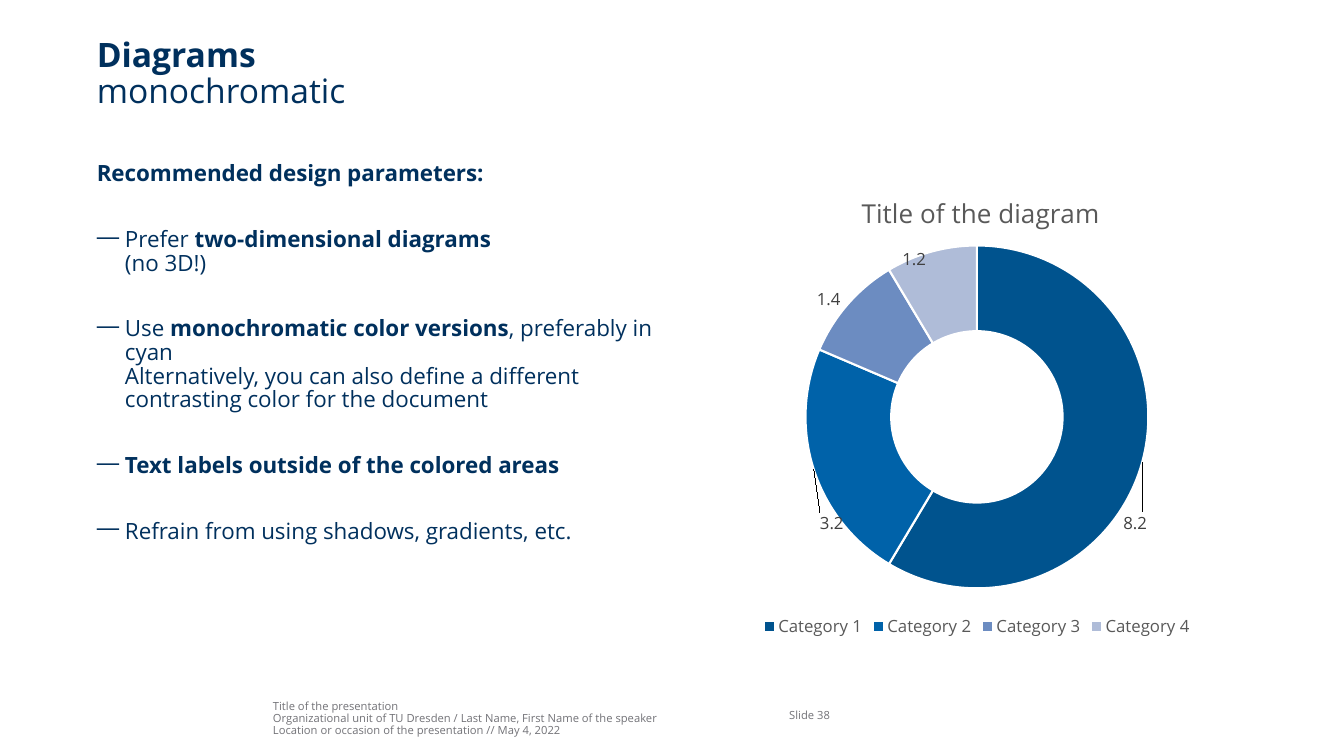
"""Build the slide on monochromatic diagrams."""
from dataclasses import dataclass

import lxml.etree
import pptx
import pptx.chart.data
import pptx.dml.color
import pptx.enum.chart
import pptx.enum.text
import pptx.oxml
import pptx.oxml.ns
import pptx.util

Cm, Pt = pptx.util.Cm, pptx.util.Pt
Anchor = pptx.enum.text.MSO_ANCHOR
qn = pptx.oxml.ns.qn
FONT = "Open Sans"
HUES = {"navy": "00305D", "grey": "727277", "text": "595959",
        "label": "404040", "white": "FFFFFF"}


@dataclass
class Line:
    spans: list[tuple[str, bool]]
    dash: bool = False


@dataclass
class Block:
    left: float
    top: float
    width: float
    height: float
    size: float
    hue: str
    lines: list[Line]
    pitch: float = 0.88
    anchor: Anchor = Anchor.TOP


@dataclass
class Slice:
    name: str
    value: float
    hue: str
    shift: tuple[float, float]


BLOCKS = [
    Block(6.88, 17.55, 12.45, 1.02, 8, "grey", [
        Line([("Title of the presentation", False)]),
        Line([("Organizational unit of TU Dresden / Last Name, First Name of the speaker", False)]),
        Line([("Location or occasion of the presentation // May 4, 2022", False)]),
    ], anchor=Anchor.BOTTOM),
    Block(19.89, 17.53, 1.96, 1.02, 8, "grey", [Line([("Slide 38", False)])],
          anchor=Anchor.MIDDLE),
    Block(2.44, 0.97, 29.39, 1.9, 24, "navy",
          [Line([("Diagrams\n", True), ("monochromatic", False)])], pitch=0.9),
    Block(2.44, 4.11, 14.43, 12.07, 16, "navy", [
        Line([("Recommended design parameters:", True)]),
        Line([("Prefer ", False), ("two-dimensional diagrams\n", True),
              ("(no 3D!)", False)], True),
        Line([("Use ", False), ("monochromatic color versions", True),
              (", preferably in cyan\nAlternatively, you can also define a different "
               "contrasting color for the document", False)], True),
        Line([("Text labels outside of the colored areas", True)], True),
        Line([("Refrain from using shadows, gradients, etc.", False)], True),
    ]),
]

SLICES = [
    Slice("Category 1", 8.2, "00538E", (0.06, 0.15)),
    Slice("Category 2", 3.2, "0062A9", (-0.04, 0.14)),
    Slice("Category 3", 1.4, "6C8CC1", (-0.09, -0.07)),
    Slice("Category 4", 1.2, "AFBCD8", (-0.05, -0.07)),
]


def tint(hue: str) -> pptx.dml.color.RGBColor:
    return pptx.dml.color.RGBColor.from_string(HUES.get(hue, hue))


def style(font, size: float, hue: str) -> None:
    font.name, font.size, font.bold = FONT, Pt(size), False
    font.color.rgb = tint(hue)


def add_line(para, line: Line, block: Block) -> None:
    if line.dash:
        props = para._p.get_or_add_pPr()
        props.set("marL", str(Cm(0.71)))
        props.set("indent", str(-Cm(0.71)))
        lxml.etree.SubElement(props, qn("a:buChar")).set("char", "—")
        para.space_before = Pt(30)
    para.line_spacing = block.pitch
    style(para.font, block.size, block.hue)
    mixed = len({bold for _, bold in line.spans}) > 1
    if not mixed:
        para.font.bold = line.spans[0][1]
    for text, bold in line.spans:
        for index, piece in enumerate(text.split("\n")):
            if index:
                para.add_line_break()
            if piece:
                run = para.add_run()
                run.text = piece
                if mixed:
                    run.font.bold = bold


def add_block(slide, block: Block) -> None:
    box = slide.shapes.add_textbox(Cm(block.left), Cm(block.top),
                                   Cm(block.width), Cm(block.height))
    frame = box.text_frame
    frame.word_wrap = True
    frame.vertical_anchor = block.anchor
    frame.margin_left = frame.margin_right = frame.margin_top = frame.margin_bottom = 0
    for index, line in enumerate(block.lines):
        para = frame.add_paragraph() if index else frame.paragraphs[0]
        add_line(para, line, block)


def place(node, after: str | None, **spots) -> None:
    for old in node.findall(qn("c:layout")):
        node.remove(old)
    spot = lxml.etree.Element(qn("c:layout"))
    form = lxml.etree.SubElement(spot, qn("c:manualLayout"))
    for key, value in spots.items():
        lxml.etree.SubElement(form, qn(f"c:{key}")).set("val", str(value))
    if after:
        node.find(qn(after)).addnext(spot)
    else:
        node.insert(0, spot)


def add_ring(slide) -> None:
    data = pptx.chart.data.CategoryChartData()
    data.categories = [item.name for item in SLICES]
    data.add_series("Series 1", [item.value for item in SLICES])
    chart = slide.shapes.add_chart(pptx.enum.chart.XL_CHART_TYPE.DOUGHNUT, Cm(17.42),
                                   Cm(4.11), Cm(14.4), Cm(12.07), data).chart
    style(chart.font, 10, "text")
    chart.has_title = True
    title = chart.chart_title.text_frame
    title.text = "Title of the diagram"
    style(title.paragraphs[0].font, 18.6, "text")
    chart.has_legend = True
    chart.legend.position = pptx.enum.chart.XL_LEGEND_POSITION.BOTTOM
    chart.legend.include_in_layout = False
    style(chart.legend.font, 12, "text")

    plot = chart.plots[0]
    plot.vary_by_categories = True
    plot.has_data_labels = True
    plot.data_labels.show_value = True
    plot.data_labels.show_percentage = False
    style(plot.data_labels.font, 12, "label")
    for index, item in enumerate(SLICES):
        point = plot.series[0].points[index]
        point.format.fill.solid()
        point.format.fill.fore_color.rgb = tint(item.hue)
        point.format.line.color.rgb = tint("white")
        point.format.line.width = Pt(1.5)
        style(point.data_label.font, 12, "label")

    root = chart.element
    for item, label in zip(SLICES, root.iter(qn("c:dLbl"))):
        place(label, "c:idx", x=item.shift[0], y=item.shift[1])
    root.find(".//" + qn("c:holeSize")).set("val", "75")
    place(root.find(".//" + qn("c:title")), "c:tx",
          xMode="edge", yMode="edge", x=0.29, y=0.05)
    place(root.find(".//" + qn("c:plotArea")), None, layoutTarget="inner",
          xMode="edge", yMode="edge", x=0.2, y=0.17, w=0.6, h=0.72)


def main() -> None:
    deck = pptx.Presentation()
    deck.slide_width, deck.slide_height = Cm(33.87), Cm(19.05)
    slide = deck.slides.add_slide(deck.slide_layouts[6])
    for block in BLOCKS:
        add_block(slide, block)
    add_ring(slide)
    deck.save("out.pptx")


if __name__ == "__main__":
    main()
